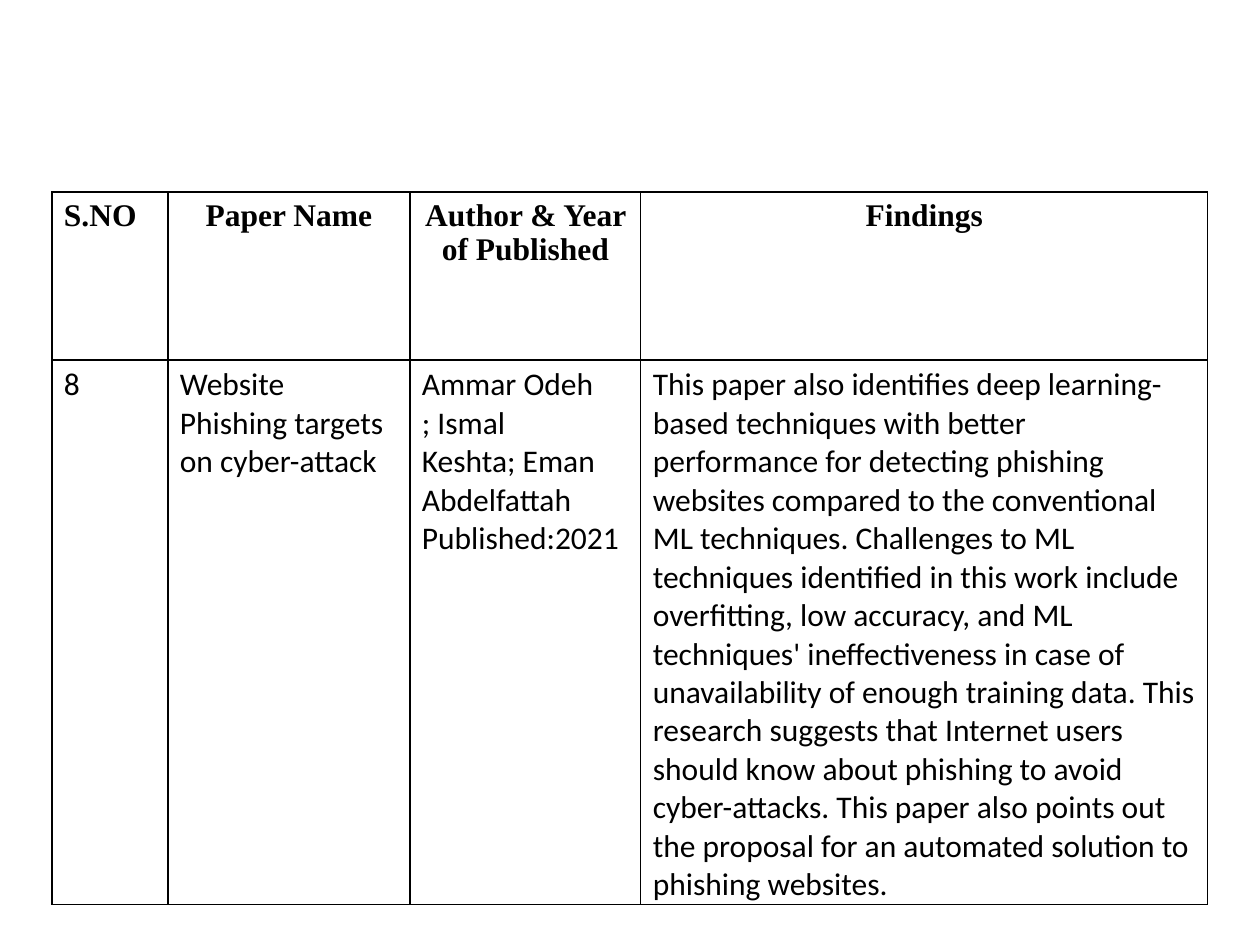
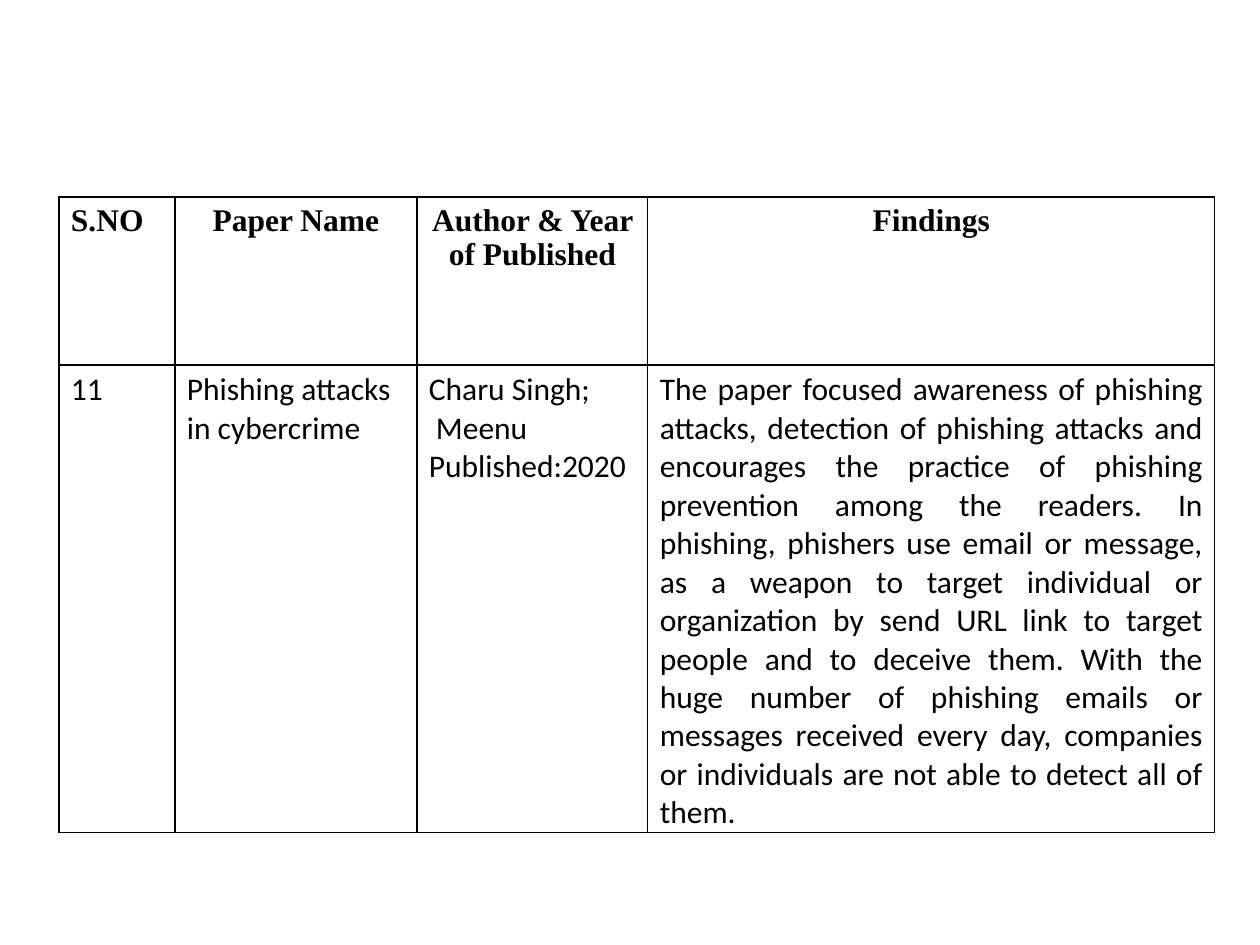
from lxml.etree import SubElement
from pptx import Presentation
from pptx.dml.color import RGBColor
from pptx.enum.text import MSO_ANCHOR, PP_ALIGN
from pptx.oxml.ns import qn
from pptx.util import Pt

PIXEL = 914400 // 126
BLACK = RGBColor(0, 0, 0)
TEXT_SIZE = Pt(18)
BORDER_WIDTH = Pt(0.75)
COLUMN_WIDTHS = [116, 242, 231, 567]
HEADER_HEIGHT = 168
SIDE_MARGIN, TOP_MARGIN = 12, 6
HEADERS = ["S.NO", "Paper Name", "Author & Year of Published", "Findings"]
HEADER_ALIGNMENTS = [PP_ALIGN.LEFT] + [PP_ALIGN.CENTER] * 3

# Each survey page: table left, table top, body height, alignment of findings, cells
PAGES = [
    (52, 192, 542, PP_ALIGN.LEFT, [
        "8",
        "Website Phishing targets on cyber-attack",
        "Ammar Odeh\n;\u00a0Ismal Keshta;\u00a0Eman Abdelfattah\nPublished:2021",
        "This paper also identifies deep learning-based techniques with better "
        "performance for detecting phishing websites compared to the conventional "
        "ML techniques. Challenges to ML techniques identified in this work include "
        "overfitting, low accuracy, and ML techniques' ineffectiveness in case of "
        "unavailability of enough training data. This research suggests that "
        "Internet users should know about phishing to avoid cyber-attacks. This "
        "paper also points out the proposal for an automated solution to phishing "
        "websites.",
    ]),
    (59, 197, 466, PP_ALIGN.JUSTIFY, [
        "11",
        "Phishing attacks in cybercrime",
        "Charu Singh;\n\u00a0Meenu\nPublished:2020",
        "The paper focused awareness of phishing attacks, detection of phishing "
        "attacks and encourages the practice of phishing prevention among the "
        "readers. In phishing, phishers use email or message, as a weapon to target "
        "individual or organization by send URL link to target people and to "
        "deceive them. With the huge number of phishing emails or messages received "
        "every day, companies or individuals are not able to detect all of them.",
    ]),
]


def add_borders(cell):
    """Draw a thin black line on all four sides of a cell."""
    properties = cell._tc.get_or_add_tcPr()
    for position, side in enumerate(("a:lnL", "a:lnR", "a:lnT", "a:lnB")):
        line = SubElement(properties, qn(side), w=str(BORDER_WIDTH))
        properties.insert(position, line)
        fill = SubElement(line, qn("a:solidFill"))
        SubElement(fill, qn("a:srgbClr"), val=str(BLACK))


def fill_cell(cell, text, font_name, bold, alignment):
    """Write one paragraph per line of text and style the cell."""
    cell.fill.background()
    cell.margin_left = cell.margin_right = SIDE_MARGIN * PIXEL
    cell.margin_top, cell.margin_bottom = TOP_MARGIN * PIXEL, 0
    cell.vertical_anchor = MSO_ANCHOR.TOP
    add_borders(cell)
    frame = cell.text_frame
    for number, line in enumerate(text.split("\n")):
        paragraph = frame.add_paragraph() if number else frame.paragraphs[0]
        paragraph.alignment = alignment
        run = paragraph.add_run()
        run.text = line
        run.font.name = font_name
        run.font.size = TEXT_SIZE
        run.font.bold = bold
        run.font.color.rgb = BLACK


presentation = Presentation()
presentation.slide_width = 1260 * PIXEL
presentation.slide_height = 945 * PIXEL

for left, top, body_height, findings_alignment, entry in PAGES:
    slide = presentation.slides.add_slide(presentation.slide_layouts[6])
    table = slide.shapes.add_table(
        2, len(HEADERS), left * PIXEL, top * PIXEL,
        sum(COLUMN_WIDTHS) * PIXEL, (HEADER_HEIGHT + body_height) * PIXEL).table
    table.first_row = table.horz_banding = False
    table.rows[0].height = HEADER_HEIGHT * PIXEL
    table.rows[1].height = body_height * PIXEL
    body_alignments = [PP_ALIGN.LEFT] * 3 + [findings_alignment]
    for column, width in enumerate(COLUMN_WIDTHS):
        table.columns[column].width = width * PIXEL
        fill_cell(table.cell(0, column), HEADERS[column], "Times New Roman", True,
                  HEADER_ALIGNMENTS[column])
        fill_cell(table.cell(1, column), entry[column], "Calibri", False,
                  body_alignments[column])

presentation.save("out.pptx")
